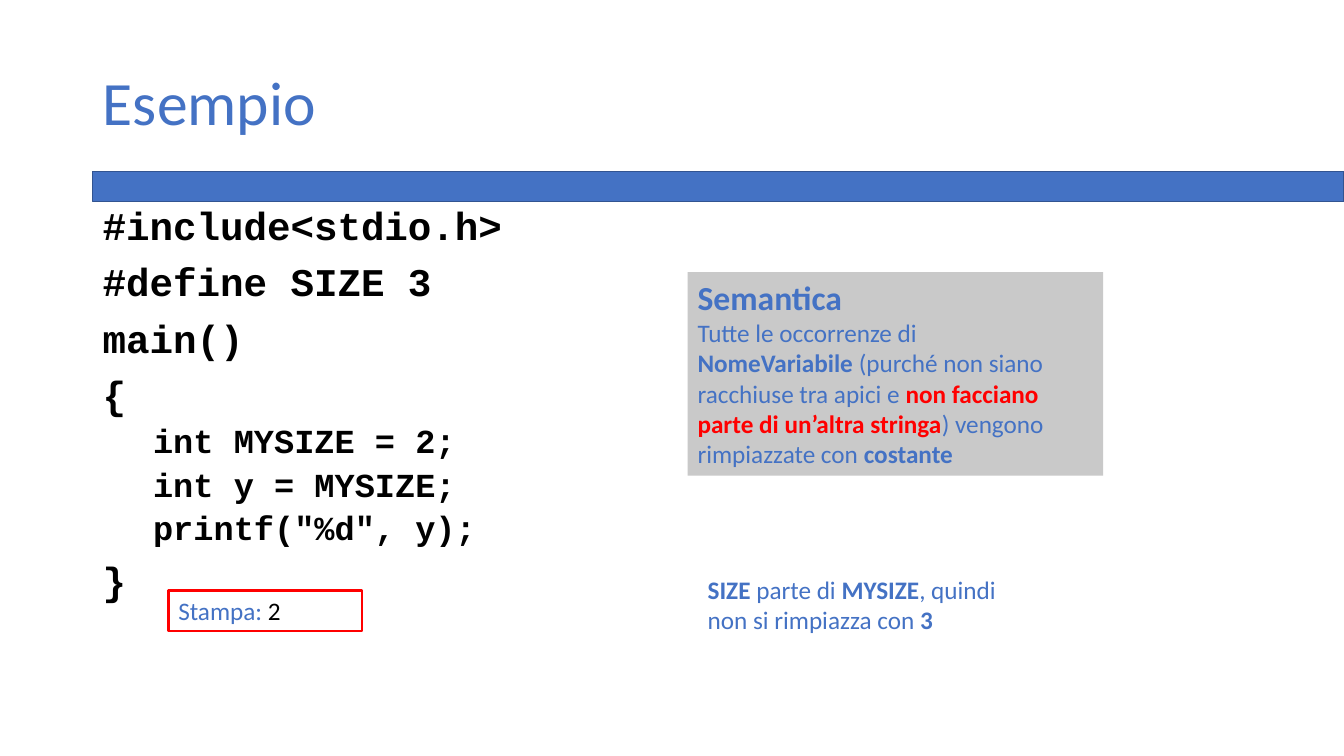
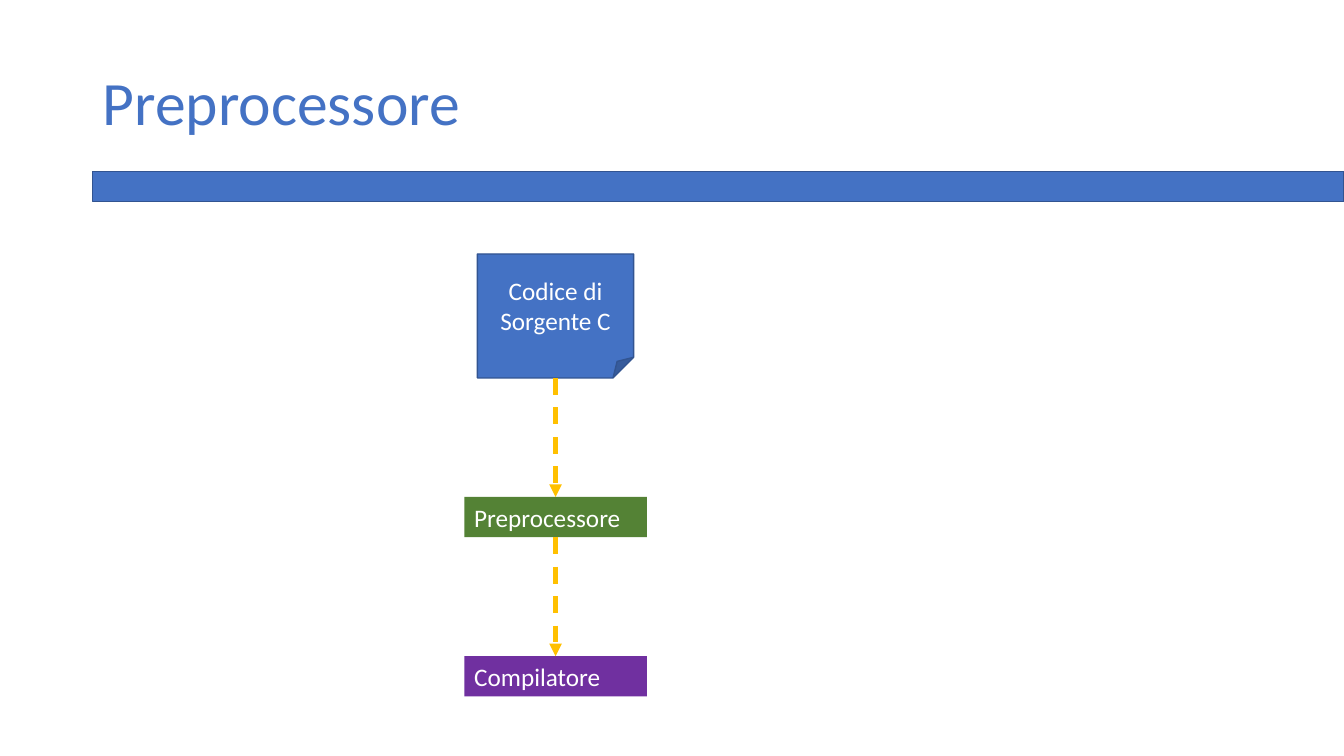
from itertools import pairwise
from lxml.etree import SubElement
from pptx import Presentation
from pptx.dml.color import RGBColor
from pptx.enum.dml import MSO_LINE
from pptx.enum.shapes import MSO_CONNECTOR, MSO_SHAPE
from pptx.enum.text import MSO_ANCHOR as ANCHOR, MSO_AUTO_SIZE as AUTO_SIZE, PP_ALIGN as ALIGN
from pptx.oxml.ns import qn
from pptx.util import Inches, Pt

COLORS = {
    "blue": "4472C4", "navy": "325491", "gray": "C9C9C9", "red": "FF0000",
    "green": "548235", "purple": "7030A0", "gold": "FFC000",
    "black": "000000", "white": "FFFFFF",
}
STYLES = {
    "title": ("Calibri", 44, False, "blue"),
    "heading": ("Calibri", 24, True, "blue"),
    "plain": ("Calibri", 18, False, "blue"),
    "strong": ("Calibri", 18, True, "blue"),
    "alert": ("Calibri", 18, True, "red"),
    "result": ("Calibri", 18, False, "black"),
    "label": ("Calibri", 18, False, "white"),
    "code": ("Courier New", 28, True, "black"),
    "nested": ("Courier New", 24, True, "black"),
}

CODE = [
    ("code", "#include<stdio.h>"),
    ("code", "#define SIZE 3"),
    ("code", "main()"),
    ("code", "{"),
    ("nested", "int MYSIZE = 2;"),
    ("nested", "int y = MYSIZE;"),
    ("nested", 'printf("%d", y);'),
    ("code", "}"),
]
SEMANTICS = [
    [("heading", "Semantica")],
    [("plain", "Tutte le occorrenze di")],
    [("strong", "NomeVariabile "), ("plain", "(purché non siano")],
    [("plain", "racchiuse tra apici e "), ("alert", "non facciano")],
    [("alert", "parte di un’altra stringa"), ("plain", ") vengono")],
    [("plain", "rimpiazzate con "), ("strong", "costante")],
]
OUTPUT = [[("plain", "Stampa: "), ("result", "2")]]
EXPLANATION = [
    [("strong", "SIZE "), ("plain", "parte di "), ("strong", "MYSIZE"), ("plain", ", quindi")],
    [("plain", "non si rimpiazza con "), ("strong", "3")],
]
STAGES = [("Preprocessore", "green"), ("Compilatore", "purple")]

WIDTH, HEIGHT = 13.33, 7.5
LEFT = 0.92
TITLE_TOP, TITLE_HEIGHT = 0.4, 1.3
BAND_TOP, BAND_HEIGHT = TITLE_TOP + TITLE_HEIGHT, 0.3
BODY_TOP = BAND_TOP + BAND_HEIGHT
NOTE_LEFT, NOTE_WIDTH = 6.82, 4.12
LINE_BOX = 0.4
FLOW_CENTER, FLOW_TOP, FLOW_GAP = 5.51, 2.52, 1.18
SOURCE_WIDTH, SOURCE_HEIGHT = 1.55, 1.23
STAGE_WIDTH = 1.81


def rgb(name):
    return RGBColor.from_string(COLORS[name])


def write(shape, lines, spacing=None, align=ALIGN.LEFT, anchor=ANCHOR.TOP, fit=AUTO_SIZE.NONE):
    frame = shape.text_frame
    for name, value in {"word_wrap": True, "auto_size": fit, "vertical_anchor": anchor}.items():
        setattr(frame, name, value)
    for index, line in enumerate(lines):
        paragraph = frame.add_paragraph() if index else frame.paragraphs[0]
        paragraph.alignment = align
        paragraph.line_spacing = spacing
        for style, text in line:
            run = paragraph.add_run()
            run.text = text
            family, size, bold, color = STYLES[style]
            for name, value in {"name": family, "size": Pt(size), "bold": bold}.items():
                setattr(run.font, name, value)
            run.font.color.rgb = rgb(color)


def add_box(slide, at, fill=None, line=None, line_width=1, kind=MSO_SHAPE.RECTANGLE):
    shape = slide.shapes.add_shape(kind, *map(Inches, at))
    shape.shadow.inherit = False
    if fill:
        shape.fill.solid()
        shape.fill.fore_color.rgb = rgb(fill)
    else:
        shape.fill.background()
    if line:
        shape.line.color.rgb = rgb(line)
        shape.line.width = Pt(line_width)
    else:
        shape.line.fill.background()
    return shape


def add_text(slide, at):
    return slide.shapes.add_textbox(*map(Inches, at))


def add_arrow(slide, source, target):
    arrow = slide.shapes.add_connector(MSO_CONNECTOR.STRAIGHT, 0, 0, 0, 0)
    arrow.begin_connect(source, 2)
    arrow.end_connect(target, 0)
    arrow.line.color.rgb = rgb("gold")
    arrow.line.width = Pt(3)
    arrow.line.dash_style = MSO_LINE.DASH
    properties = arrow.element.spPr
    SubElement(properties.find(qn("a:ln")), qn("a:tailEnd"), type="triangle")
    SubElement(properties, qn("a:effectLst"))


def add_slide(presentation, heading):
    slide = presentation.slides.add_slide(presentation.slide_layouts[5])
    add_box(slide, (LEFT, BAND_TOP, WIDTH - LEFT, BAND_HEIGHT), "blue", "navy")
    title = slide.shapes.title
    place = {"left": LEFT, "top": TITLE_TOP, "width": 11.5, "height": TITLE_HEIGHT}
    for name, value in place.items():
        setattr(title, name, Inches(value))
    write(title, [[("title", heading)]], spacing=0.9, anchor=ANCHOR.MIDDLE)
    return slide


def build_example(presentation):
    slide = add_slide(presentation, "Esempio")
    code = add_text(slide, (LEFT, BODY_TOP, 5.14, 4.76))
    write(code, [[line] for line in CODE], spacing=0.9)
    for paragraph, (style, _) in zip(code.text_frame.paragraphs, CODE):
        nested = style == "nested"
        paragraph.space_before = Pt(5 if nested else 10)
        if nested:
            paragraph.level = 1
            paragraph._p.get_or_add_pPr().set("marL", str(Inches(0.5)))
    semantics = add_box(slide, (NOTE_LEFT, 2.7, NOTE_WIDTH, 2.02), "gray")
    output = add_box(slide, (1.67, 5.86, 1.92, LINE_BOX), line="red", line_width=2)
    explanation = add_text(slide, (NOTE_LEFT + 0.1, 5.65, NOTE_WIDTH, 0.71))
    for shape, lines in ((semantics, SEMANTICS), (output, OUTPUT), (explanation, EXPLANATION)):
        write(shape, lines, fit=AUTO_SIZE.SHAPE_TO_FIT_TEXT)


def build_flow(presentation):
    slide = add_slide(presentation, "Preprocessore")
    source = add_box(
        slide, (FLOW_CENTER - SOURCE_WIDTH / 2, FLOW_TOP, SOURCE_WIDTH, SOURCE_HEIGHT),
        "blue", "navy", kind=MSO_SHAPE.FOLDED_CORNER)
    write(source, [[("label", "Codice di Sorgente C")]], align=ALIGN.CENTER, anchor=ANCHOR.MIDDLE)
    steps = [source]
    top = FLOW_TOP + SOURCE_HEIGHT + FLOW_GAP
    for name, color in STAGES:
        stage = add_box(slide, (FLOW_CENTER - STAGE_WIDTH / 2, top, STAGE_WIDTH, LINE_BOX), color)
        write(stage, [[("label", name)]], fit=AUTO_SIZE.SHAPE_TO_FIT_TEXT)
        steps.append(stage)
        top += LINE_BOX + FLOW_GAP
    for upper, lower in pairwise(steps):
        add_arrow(slide, upper, lower)


presentation = Presentation()
presentation.slide_width = Inches(WIDTH)
presentation.slide_height = Inches(HEIGHT)
build_example(presentation)
build_flow(presentation)
presentation.save("out.pptx")
